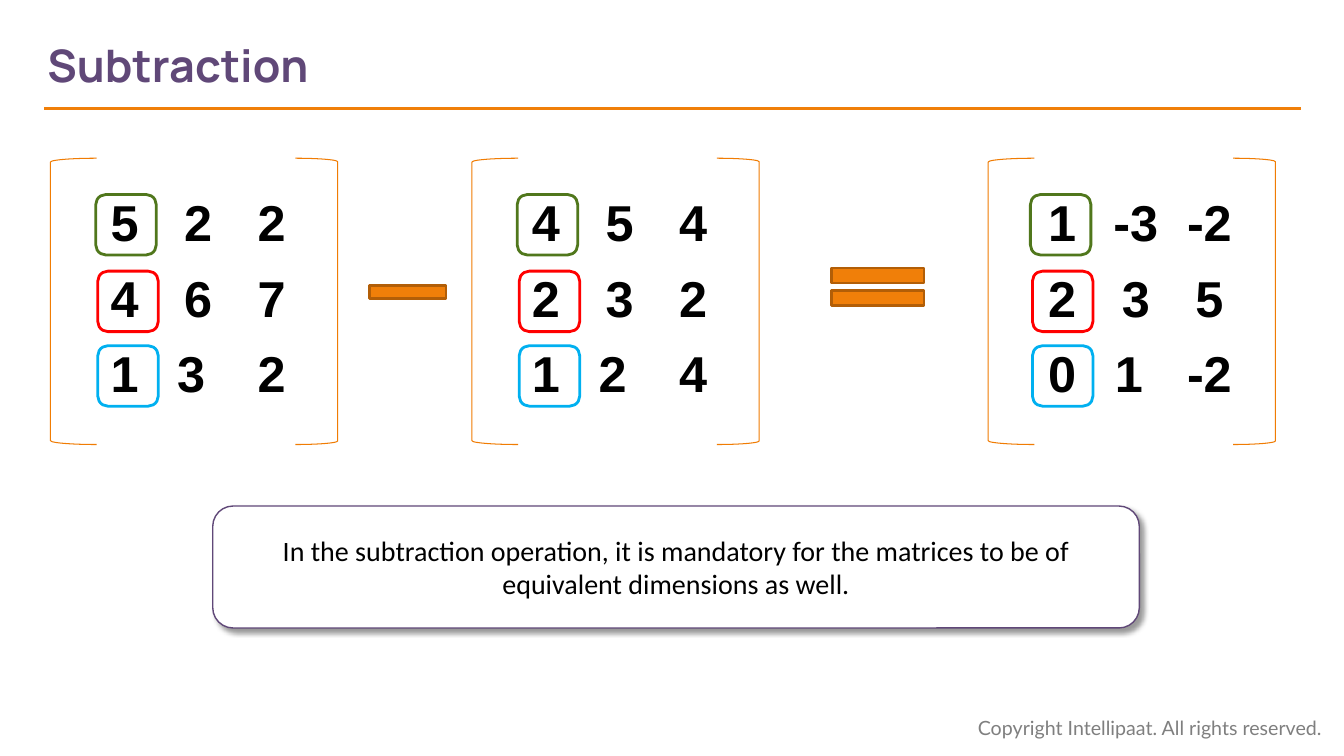
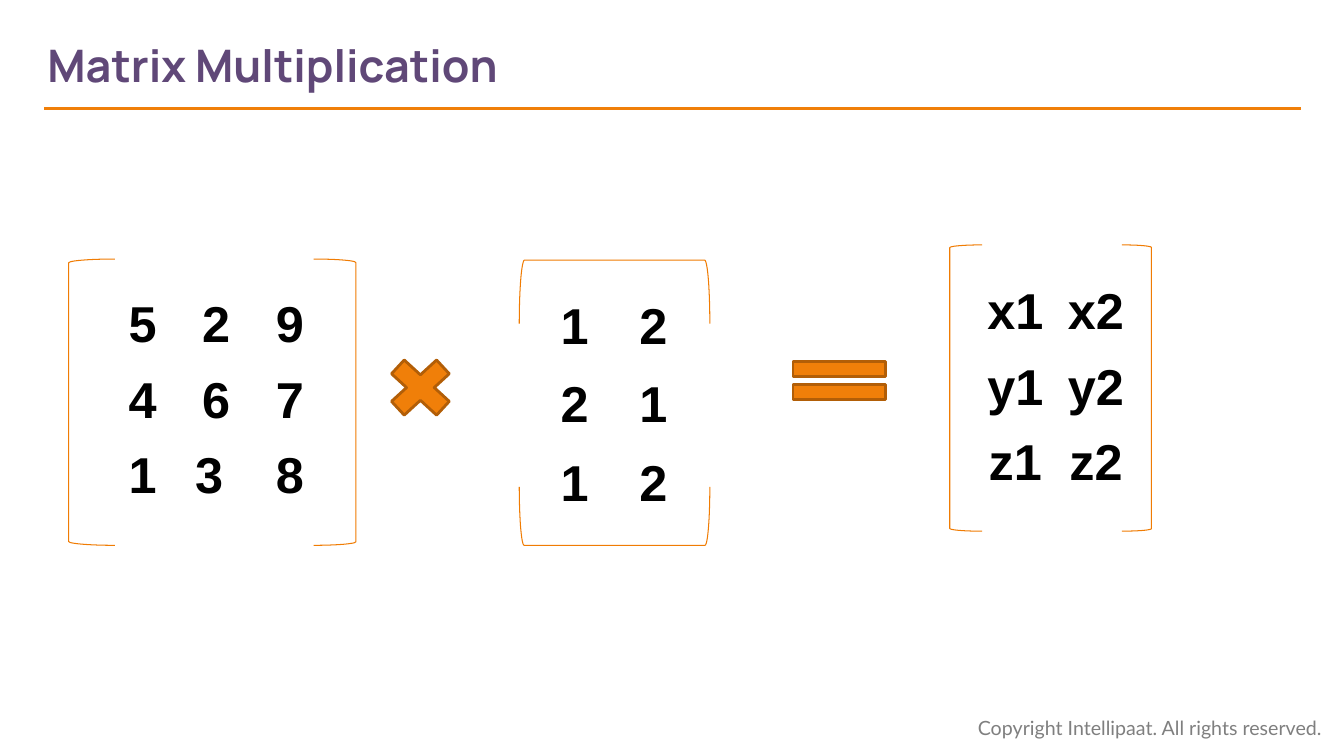
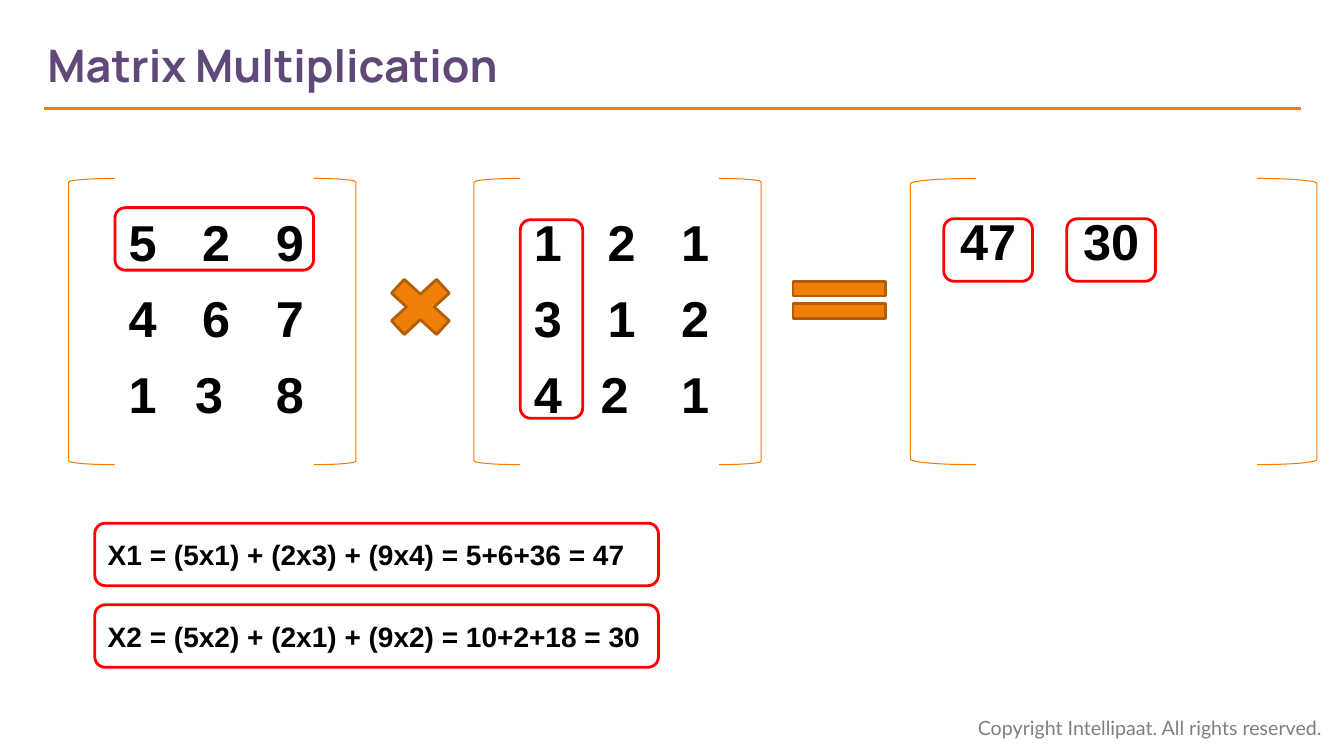
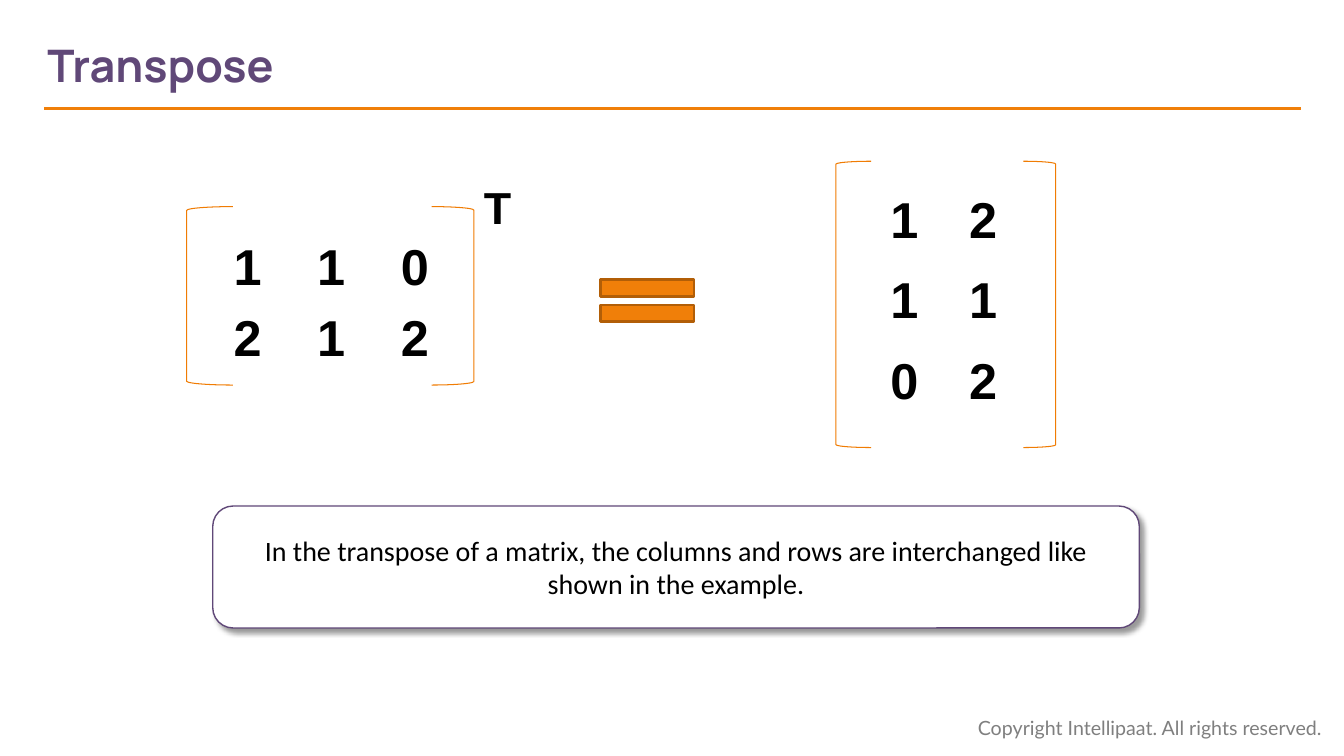
"""Builds four slides on matrix subtraction, multiplication and transposition."""
from dataclasses import dataclass

from lxml import etree
from pptx import Presentation
from pptx.dml.color import RGBColor
from pptx.enum.shapes import MSO_CONNECTOR, MSO_SHAPE
from pptx.enum.text import MSO_ANCHOR, MSO_AUTO_SIZE, PP_ALIGN
from pptx.oxml.ns import qn
from pptx.util import Emu, Pt

PX = 9144
TITLE_ONLY = 5
STRAIGHT = MSO_CONNECTOR.STRAIGHT
ROUNDED = MSO_SHAPE.ROUNDED_RECTANGLE
MARK = MSO_SHAPE.FLOWCHART_ALTERNATE_PROCESS
OPENING, CLOSING = MSO_SHAPE.LEFT_BRACKET, MSO_SHAPE.RIGHT_BRACKET
MINUS, TIMES, EQUALS = MSO_SHAPE.MATH_MINUS, MSO_SHAPE.MATH_MULTIPLY, MSO_SHAPE.MATH_EQUAL
TOP, MIDDLE = MSO_ANCHOR.TOP, MSO_ANCHOR.MIDDLE
LEFT, CENTER = PP_ALIGN.LEFT, PP_ALIGN.CENTER
FIXED = MSO_AUTO_SIZE.NONE


@dataclass(frozen=True)
class TextStyle:
    font: str
    size: int
    colour: str
    bold: bool = False


@dataclass(frozen=True)
class Theme:
    orange: str = "F07F09"
    bracket: str = "F07C03"
    operator_edge: str = "B25E07"
    purple: str = "604878"
    white: str = "FFFFFF"
    green: str = "50771C"
    red: str = "FF0000"
    blue: str = "00B0F0"
    title: TextStyle = TextStyle("Manrope", 32, "604878", True)
    footer: TextStyle = TextStyle("Lato", 14, "7F7F7F")
    note: TextStyle = TextStyle("Calibri", 20, "000000")
    digit: TextStyle = TextStyle("Arial", 36, "000000", True)
    exponent: TextStyle = TextStyle("Arial", 32, "000000", True)
    formula: TextStyle = TextStyle("Arial", 20, "000000", True)


@dataclass(frozen=True)
class Matrix:
    rows: list
    frame: tuple
    grid: tuple
    nudged: tuple = ()
    caps: tuple = ()


THEME = Theme()
SLIDE_SIZE = (1333, 750)
TITLE_BOX = (47, 22, 947, 84)
RULE = (1290, 108, 44, 108)
FOOTER = "Copyright Intellipaat. All rights reserved."
FOOTER_BOX = (960, 705, 367, 34)
NOTE_BOX = (211, 502, 919, 121)
CELL_MARGIN = 10
NUDGE = 14
OPENING_SHARE, CLOSING_SHARE = 0.161, 0.147


def square(left, top, rows):
    return Matrix(rows, (left, top, 285, 284), (left + 37, top + 28, 73, 75), (2, 1))


FACTOR = [["5", "2", "9"], ["4", "6", "7"], ["1", "3", "8"]]
CORNER_MARKS = [(THEME.green, 193, 0), (THEME.red, 269, 2), (THEME.blue, 343, 2)]

SLIDES = [
    {
        "title": "Subtraction",
        "matrices": [
            square(50, 157, [["5", "2", "2"], ["4", "6", "7"], ["1", "3", "2"]]),
            square(468, 157, [["4", "5", "4"], ["2", "3", "2"], ["1", "2", "4"]]),
            square(980, 157, [["1", "-3", "-2"], ["2", "3", "5"], ["0", "1", "-2"]]),
        ],
        "operators": [(MINUS, (353, 262, 103, 55)), (EQUALS, (808, 253, 125, 63))],
        "marks": [
            (colour, (left + shift, top, 60, 60), "")
            for colour, top, shift in CORNER_MARKS
            for left in (95, 513, 1022)
        ],
        "note": "In the subtraction operation, it is mandatory for the matrices "
                "to be of equivalent dimensions as well.",
    },
    {
        "title": "Matrix Multiplication",
        "matrices": [
            square(68, 257, FACTOR),
            Matrix([["1", "2"], ["2", "1"], ["1", "2"]],
                   (515, 258, 189, 283), (531, 285, 78, 78), caps=(63, 58)),
            Matrix([["x1", "x2"], ["y1", "y2"], ["z1", "z2"]],
                   (942, 243, 200, 284), (967, 272, 80, 75)),
        ],
        "operators": [(TIMES, (374, 345, 86, 79)), (EQUALS, (770, 346, 125, 63))],
    },
    {
        "title": "Matrix Multiplication",
        "matrices": [
            square(68, 177, FACTOR),
            square(470, 177, [["1", "2", "1"], ["3", "1", "2"], ["4", "2", "1"]]),
            Matrix([["47", "30", ""], [""] * 3, [""] * 3],
                   (903, 177, 403, 284), (919, 204, 122, 75)),
        ],
        "operators": [(TIMES, (374, 265, 86, 79)), (EQUALS, (770, 266, 125, 63))],
        "marks": [
            (THEME.red, (94, 519, 559, 62), "X1 = (5x1) + (2x3) + (9x4) = 5+6+36 = 47"),
            (THEME.red, (94, 600, 559, 62), "X2 = (5x2) + (2x1) + (9x2) = 10+2+18 = 30"),
            (THEME.red, (114, 206, 197, 62), ""),
            (THEME.red, (516, 218, 62, 197), ""),
            (THEME.red, (936, 217, 88, 62), ""),
            (THEME.red, (1058, 217, 88, 62), ""),
        ],
    },
    {
        "title": "Transpose",
        "matrices": [
            Matrix([["1", "1", "0"], ["2", "1", "2"]],
                   (185, 205, 285, 177), (204, 231, 83, 70)),
            Matrix([["1", "2"], ["1", "1"], ["0", "2"]],
                   (829, 160, 218, 284), (858, 179, 78, 80)),
        ],
        "operators": [(EQUALS, (579, 263, 126, 71))],
        "exponent": ("T", (470, 173, 69, 64)),
        "note": "In the transpose of a matrix, the columns and rows are "
                "interchanged like shown in the example.",
    },
]


def emu(*lengths):
    return [Emu(round(length * PX)) for length in lengths]


def rgb(colour):
    return RGBColor.from_string(colour)


def write(frame, text, style, align=LEFT, anchor=MIDDLE):
    frame.text = text
    frame.word_wrap = True
    frame.vertical_anchor = anchor
    para = frame.paragraphs[0]
    para.alignment = align
    para.font.name = style.font
    para.font.size = Pt(style.size)
    para.font.bold = style.bold
    para.font.color.rgb = rgb(style.colour)


def add_shape(page, kind, box, line, weight, fill=None):
    shape = page.shapes.add_shape(kind, *emu(*box))
    shape.shadow.inherit = False
    shape.line.color.rgb = rgb(line)
    shape.line.width = Pt(weight)
    if fill:
        shape.fill.solid()
        shape.fill.fore_color.rgb = rgb(fill)
    else:
        shape.fill.background()
    return shape


def add_text(page, text, box, style, anchor=TOP):
    shape = page.shapes.add_textbox(*emu(*box))
    write(shape.text_frame, text, style, anchor=anchor)
    return shape


def add_brackets(page, matrix):
    left, top, width, height = matrix.frame
    if matrix.caps:
        upper, lower = matrix.caps
        middle = left + width / 2
        pair = [
            (OPENING, (middle - upper / 2, top + upper / 2 - width / 2, upper, width)),
            (CLOSING, (middle - lower / 2, top + height - lower / 2 - width / 2, lower, width)),
        ]
    else:
        opening, closing = width * OPENING_SHARE, width * CLOSING_SHARE
        pair = [
            (OPENING, (left, top, opening, height)),
            (CLOSING, (left + width - closing, top, closing, height)),
        ]
    for kind, box in pair:
        bracket = add_shape(page, kind, box, THEME.bracket, 0.75)
        bracket.rotation = 90 if matrix.caps else 0


def add_matrix(page, matrix):
    add_brackets(page, matrix)
    left, top, cell_width, cell_height = matrix.grid
    row_count, column_count = len(matrix.rows), len(matrix.rows[0])
    box = emu(left, top, cell_width * column_count, cell_height * row_count)
    table = page.shapes.add_table(row_count, column_count, *box).table
    table.first_row = table.horz_banding = False
    for row_index, row in enumerate(matrix.rows):
        for column_index, text in enumerate(row):
            cell = table.cell(row_index, column_index)
            cell.fill.background()
            cell.vertical_anchor = MIDDLE
            if (row_index, column_index) == matrix.nudged:
                cell.margin_right = emu(CELL_MARGIN + NUDGE)[0]
            if text:
                write(cell.text_frame, text, THEME.digit, CENTER)


def add_note(page, text):
    note = add_shape(page, ROUNDED, NOTE_BOX, THEME.purple, 1, THEME.white)
    write(note.text_frame, text, THEME.note, CENTER)
    effects = note.element.spPr.find(qn("a:effectLst"))
    shadow = etree.SubElement(effects, qn("a:outerShdw"), blurRad=str(Pt(4)),
                              dist=str(Pt(3)), dir=str(45 * 60000), algn="tl", rotWithShape="0")
    tint = etree.SubElement(shadow, qn("a:srgbClr"), val="000000")
    etree.SubElement(tint, qn("a:alpha"), val="40000")


def move_rule_and_footer_to_layout(page):
    footer = add_text(page, FOOTER, FOOTER_BOX, THEME.footer)
    rule = page.shapes.add_connector(STRAIGHT, *emu(*RULE))
    rule.line.color.rgb = rgb(THEME.orange)
    rule.line.width = Pt(2.25)
    etree.SubElement(rule.element.spPr, qn("a:effectLst"))
    for shape in (footer, rule):
        page.slide_layout.shapes.element.append(shape.element)


def add_title(page, text):
    title = page.shapes.title
    title.left, title.top, title.width, title.height = emu(*TITLE_BOX)
    title.text_frame.margin_left = 0
    title.text_frame.auto_size = FIXED
    write(title.text_frame, text, THEME.title)


def build_slide(page, content):
    add_title(page, content["title"])
    for matrix in content["matrices"]:
        add_matrix(page, matrix)
    for kind, box in content["operators"]:
        add_shape(page, kind, box, THEME.operator_edge, 2, THEME.orange)
    for colour, box, text in content.get("marks", []):
        mark = add_shape(page, MARK, box, colour, 2)
        if text:
            write(mark.text_frame, text, THEME.formula)
    if "exponent" in content:
        add_text(page, *content["exponent"], THEME.exponent)
    if "note" in content:
        add_note(page, content["note"])


def main():
    deck = Presentation()
    deck.slide_width, deck.slide_height = emu(*SLIDE_SIZE)
    layout = deck.slide_layouts[TITLE_ONLY]
    pages = [deck.slides.add_slide(layout) for _ in SLIDES]
    move_rule_and_footer_to_layout(pages[0])
    for page, content in zip(pages, SLIDES):
        build_slide(page, content)
    deck.save("out.pptx")


if __name__ == "__main__":
    main()
